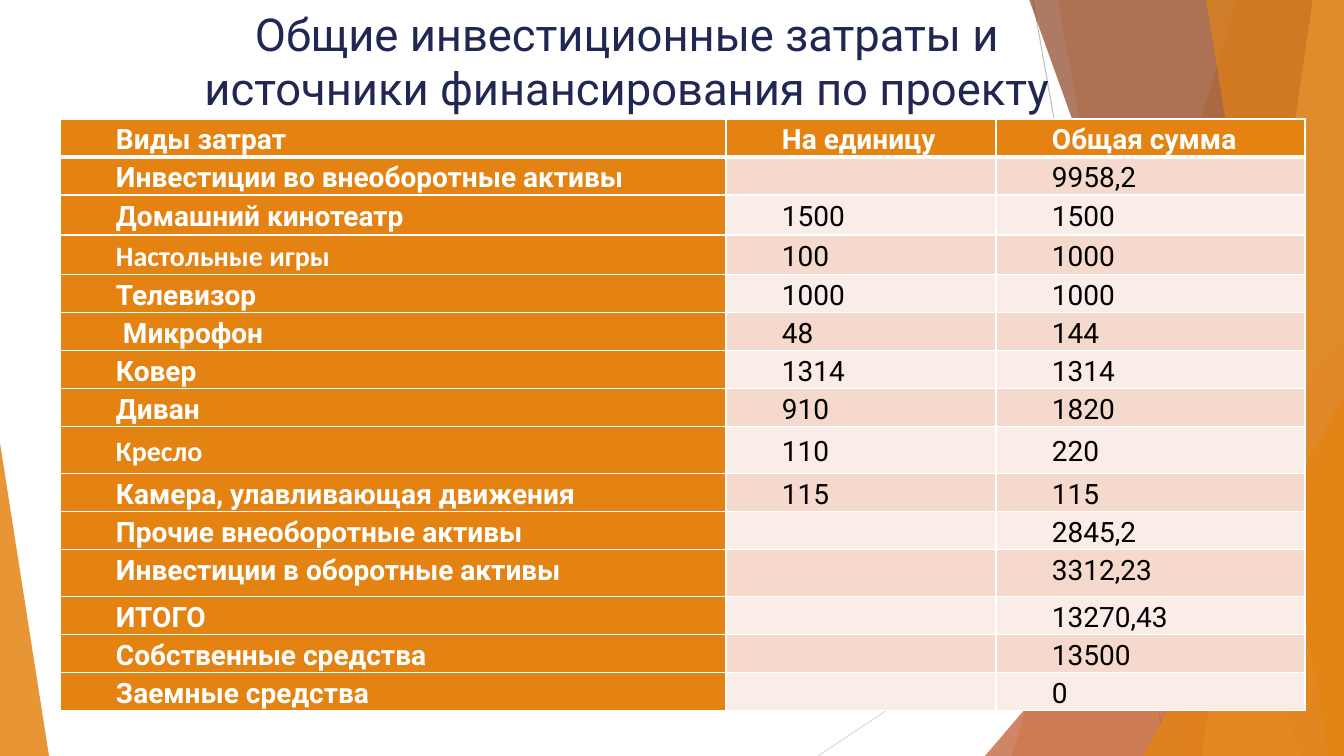
from lxml import etree
from pptx import Presentation
from pptx.dml.color import RGBColor
from pptx.enum.shapes import MSO_CONNECTOR, MSO_SHAPE
from pptx.enum.text import MSO_ANCHOR, MSO_AUTO_SIZE, PP_ALIGN
from pptx.oxml.ns import qn
from pptx.util import Pt

STRAIGHT = MSO_CONNECTOR.STRAIGHT
TRIANGLE = MSO_SHAPE.ISOSCELES_TRIANGLE
TOP, MIDDLE, BOTTOM = MSO_ANCHOR.TOP, MSO_ANCHOR.MIDDLE, MSO_ANCHOR.BOTTOM
CENTER, JUSTIFY = PP_ALIGN.CENTER, PP_ALIGN.JUSTIFY

# Content
TITLE = "Общие инвестиционные затраты и источники финансирования по проекту"
COSTS = [
    ("Виды затрат", "На единицу", "Общая сумма"),
    ("Инвестиции во внеоборотные активы", "", "9958,2"),
    ("Домашний кинотеатр", "1500", "1500"),
    ("Настольные игры", "100", "1000"),
    ("Телевизор", "1000", "1000"),
    (" Микрофон", "48", "144"),
    ("Ковер", "1314", "1314"),
    ("Диван", "910", "1820"),
    ("Кресло", "110", "220"),
    ("Камера, улавливающая движения", "115", "115"),
    ("Прочие внеоборотные активы", "", "2845,2"),
    ("Инвестиции в оборотные активы", "", "3312,23"),
    ("ИТОГО", "", "13270,43"),
    ("Собственные средства", "", "13500"),
    ("Заемные средства", "", "0"),
]
CALIBRI_LABELS = {"Настольные игры", "Кресло"}
CENTERED_ROWS = range(2, 10)

THEME = {
    "orange": "E48312", "rust": "BD582C", "brown": "8E4221", "sand": "F3B56C",
    "white": "FFFFFF", "black": "000000", "navy": "212753",
    "bands": ("FAEDE7", "F5D9CC"),
    "font": "Roboto", "label_font": "Calibri",
    "title_size": 32.4, "table_size": 20,
}

# Geometry in px
PX = 914400 / 100.8
WIDTH, HEIGHT = 1344, 756
TITLE_BOX = (148, 0, 958, 118)
TABLE_CORNER = (60, 119)
COLUMN_WIDTHS = (666, 270, 309)
ROW_HEIGHT = 38
TALL_ROWS = {2: 40, 3: 39, 8: 47, 11: 47}
FIRST_LINE_INDENT, CELL_MARGIN = 49, 7

# Decoration, back to front: lines, then panels (top x, bottom x) and triangles (box, apex)
LINES = [((1033, 0, 1167, 756), "BFBFBF"), ((1344, 406, 818, 756), "D9D9D9")]
FACETS = [
    ("panel", (1237, 1012), "orange", 30),
    ("panel", (1058, 1191), "orange", 20),
    ("triangle", (985, 336, 359, 420, 1), "rust", 72),
    ("panel", (1029, 1301), "brown", 70),
    ("panel", (1313, 1202), "sand", 70),
    ("panel", (1206, 1328), "orange", 65),
    ("triangle", (1143, 396, 201, 360, 1), "orange", 80),
    ("triangle", (0, 443, 49, 313, 0), "orange", 85),
]


def px(*lengths):
    return [round(length * PX) for length in lengths]


def paint(fill, color, opacity=100):
    fill.solid()
    fill.fore_color.rgb = RGBColor.from_string(color)
    if opacity < 100:
        color_node = fill._xPr.find(".//" + qn("a:srgbClr"))
        etree.SubElement(color_node, qn("a:alpha"), val=str(opacity * 1000))


def set_font(font, name, size, color, bold=False):
    font.name, font.size, font.bold = name, Pt(size), bold
    font.color.rgb = RGBColor.from_string(color)


def add_line(page, ends, color):
    line = page.shapes.add_connector(STRAIGHT, *px(*ends))
    line.line.color.rgb = RGBColor.from_string(color)
    line.line.width = Pt(0.75)
    etree.SubElement(line._element.spPr, qn("a:effectLst"))


def add_facet(page, kind, place, color, opacity):
    if kind == "panel":
        top_x, bottom_x = place
        outline = page.shapes.build_freeform(top_x, -1, scale=PX)
        outline.add_line_segments([(WIDTH, -1), (WIDTH, HEIGHT), (bottom_x, HEIGHT)])
        facet = outline.convert_to_shape()
    else:
        *box, apex = place
        facet = page.shapes.add_shape(TRIANGLE, *px(*box))
        facet.adjustments[0] = apex
    facet.shadow.inherit = False
    facet.line.fill.background()
    paint(facet.fill, THEME[color], opacity)


def set_borders(cell, row):
    properties = cell._tc.get_or_add_tcPr()
    widths = {"L": 1, "R": 1, "T": 3 if row == 1 else 1, "B": 3 if row == 0 else 1}
    for side, width in widths.items():
        border = etree.SubElement(properties, qn("a:ln" + side), w=str(Pt(width)))
        fill = etree.SubElement(border, qn("a:solidFill"))
        etree.SubElement(fill, qn("a:srgbClr"), val=THEME["white"])


def fill_cell(cell, text, row, column):
    is_heading = row == 0 or column == 0
    set_borders(cell, row)
    paint(cell.fill, THEME["orange"] if is_heading else THEME["bands"][row % 2])
    cell.margin_left = cell.margin_right = px(CELL_MARGIN)[0]
    cell.margin_top = cell.margin_bottom = 0
    cell.vertical_anchor = MIDDLE if row in CENTERED_ROWS else TOP
    cell.text = text
    para = cell.text_frame.paragraphs[0]
    para.alignment, para.line_spacing = JUSTIFY, 1.15
    para._p.get_or_add_pPr().set("indent", str(px(FIRST_LINE_INDENT)[0]))
    font_name = THEME["label_font" if text in CALIBRI_LABELS else "font"]
    color = THEME["white" if is_heading else "black"]
    set_font(para.font, font_name, THEME["table_size"], color, is_heading)


def add_title(page):
    title = page.shapes.title
    page.shapes._spTree.append(title._element)  # bring in front of the decoration
    title.left, title.top, title.width, title.height = px(*TITLE_BOX)
    frame = title.text_frame
    frame.text = TITLE
    frame.word_wrap, frame.auto_size = True, MSO_AUTO_SIZE.NONE
    frame.vertical_anchor = BOTTOM
    frame.margin_bottom = px(3)[0]
    para = frame.paragraphs[0]
    para.alignment = CENTER
    set_font(para.font, THEME["font"], THEME["title_size"], THEME["navy"])


def add_cost_table(page):
    heights = [TALL_ROWS.get(row, ROW_HEIGHT) for row in range(len(COSTS))]
    box = px(*TABLE_CORNER, sum(COLUMN_WIDTHS), sum(heights))
    table = page.shapes.add_table(len(COSTS), len(COLUMN_WIDTHS), *box).table
    table.first_row = table.horz_banding = False
    for column, width in zip(table.columns, px(*COLUMN_WIDTHS)):
        column.width = width
    for row, height in zip(table.rows, px(*heights)):
        row.height = height
    for row, texts in enumerate(COSTS):
        for column, text in enumerate(texts):
            fill_cell(table.cell(row, column), text, row, column)


def main():
    deck = Presentation()
    deck.slide_width, deck.slide_height = px(WIDTH, HEIGHT)
    page = deck.slides.add_slide(deck.slide_layouts[5])
    for ends, color in LINES:
        add_line(page, ends, color)
    for facet in FACETS:
        add_facet(page, *facet)
    add_title(page)
    add_cost_table(page)
    deck.save("out.pptx")


if __name__ == "__main__":
    main()
